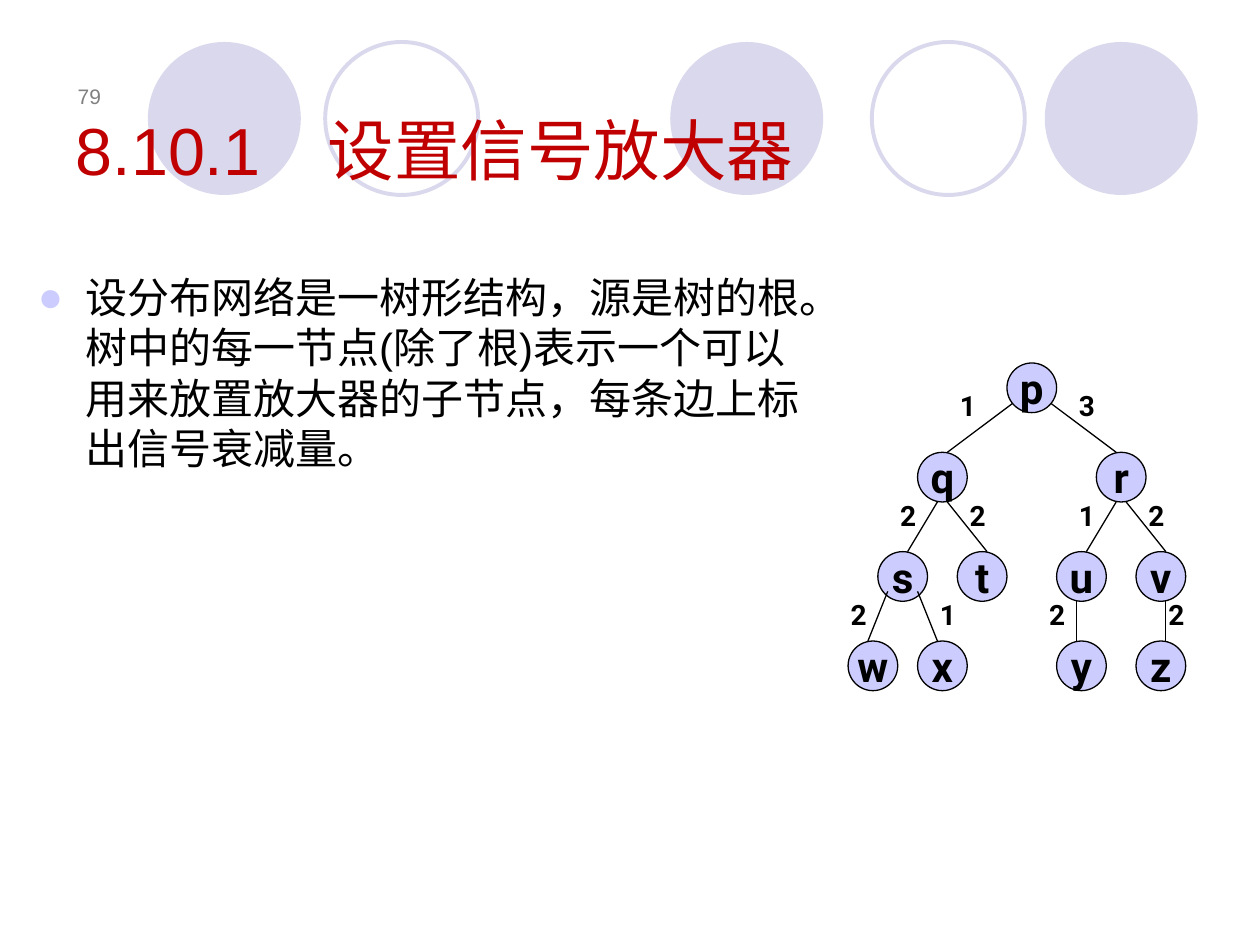
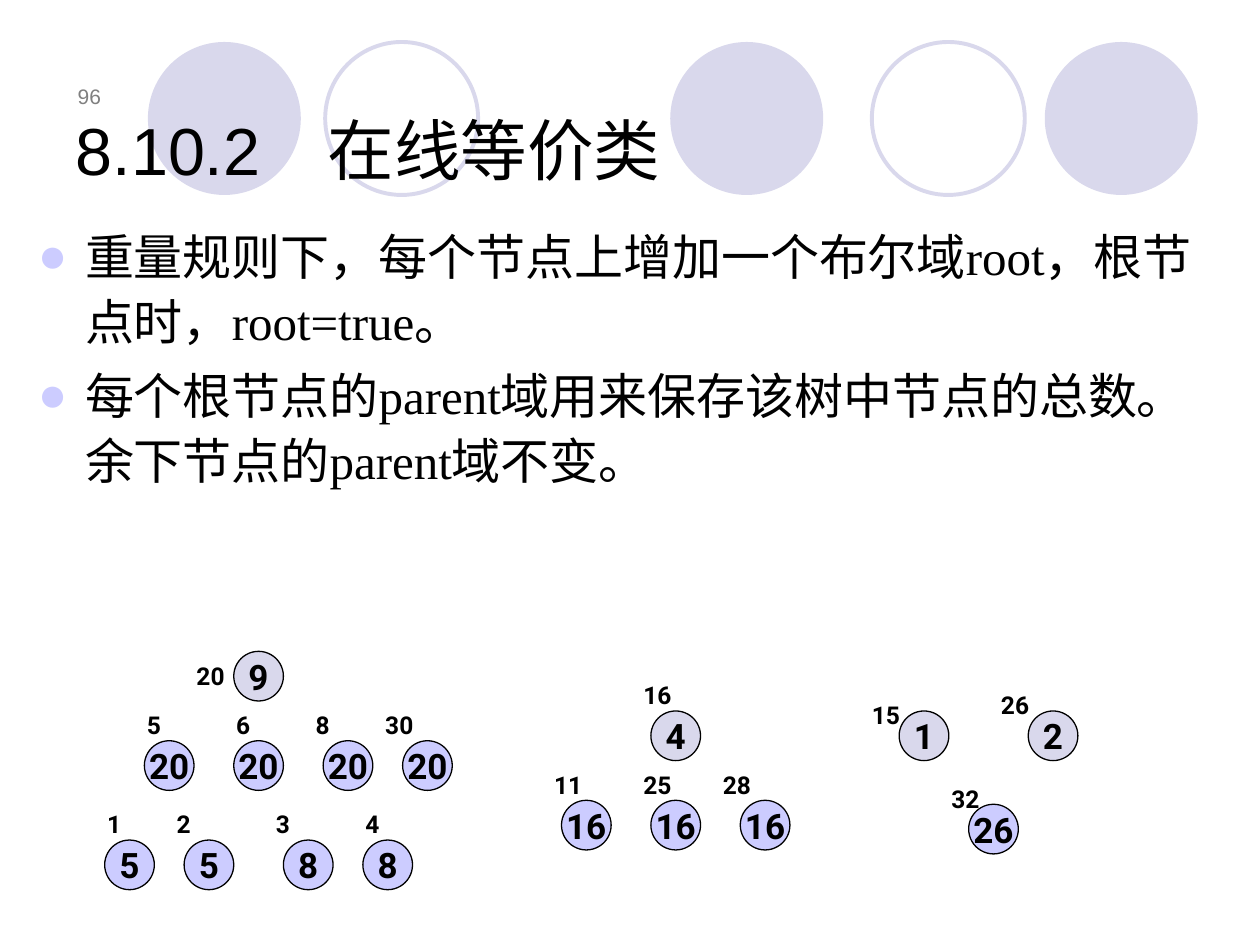
from lxml import etree
from pptx import Presentation
from pptx import util as u
from pptx.dml.color import RGBColor
from pptx.enum import shapes, text
from pptx.oxml.ns import qn

BLACK, RED, GREY = "000000", "C00000", "808080"
LILAC, PALE = "CCCCFF", "D9D8EC"
UNIT = 5.675
NODE = 5 * UNIT


def rgb(value):
    """Turn a hex string into a colour."""
    return RGBColor.from_string(value)


def style(target, formats):
    """Set every attribute named in a dict of format values."""
    for name, value in formats.items():
        setattr(target, name, value)


class Deck:
    """Hold the style and the current slide, and draw each kind of element."""

    frame = dict(word_wrap=True, auto_size=text.MSO_AUTO_SIZE.NONE,
                 vertical_anchor=text.MSO_ANCHOR.TOP)

    def __init__(self):
        """Start a 10 by 7.5 inch presentation."""
        self.prs = Presentation()
        style(self.prs, dict(slide_width=u.Pt(720), slide_height=u.Pt(540)))
        self.layout = self.prs.slide_layouts[1]
        self.s = None
        self.origin = (0, 0)

    def place(self, sp, left, top, width, height):
        """Move and size a shape."""
        style(sp, dict(left=u.Pt(left), top=u.Pt(top),
                       width=u.Pt(width), height=u.Pt(height)))

    def add_text(self, p, words, size, font="Arial", color=BLACK, bold=False,
                 align=text.PP_ALIGN.LEFT):
        """Put one formatted run in a paragraph."""
        p.alignment = align
        r = p.add_run()
        r.text = words
        style(r.font, dict(size=u.Pt(size), name=font, bold=bold))
        r.font.color.rgb = rgb(color)

    def grid(self, col, row):
        """Convert tree grid units to points."""
        return self.origin[0] + col * UNIT, self.origin[1] + row * UNIT

    def slide(self, number, title, color):
        """Add a slide with its title and number."""
        first = self.s is None
        self.s = self.prs.slides.add_slide(self.layout)
        if first:
            self.band()
        self.textbox(25.2, 31.7, 39.6, 33.8, number, 12, color=GREY,
                     align=text.PP_ALIGN.RIGHT, anchor=text.MSO_ANCHOR.BOTTOM)
        sp = self.s.shapes.title
        self.place(sp, 36, 21.6, 648, 90)
        style(sp.text_frame, self.frame | dict(vertical_anchor=text.MSO_ANCHOR.BOTTOM))
        p = sp.text_frame.paragraphs[0]
        tabs = etree.SubElement(p._p.get_or_add_pPr(), qn("a:tabLst"))
        etree.SubElement(tabs, qn("a:tab"), pos=str(u.Pt(144)), algn="l")
        self.add_text(p, title, 38, color=color)

    def band(self):
        """Put the row of circles on the shared layout."""
        for left, filled in ((383, True), (597, True), (84.5, True),
                             (498.2, False), (185.8, False)):
            sp = self.ellipse(left, 24, 87.4, PALE if filled else None,
                              None if filled else PALE, 2.25)
            self.layout.shapes._spTree.append(sp._element)

    def ellipse(self, left, top, size, fill, line, weight=0.75):
        """Draw a circle with an optional fill and outline."""
        sp = self.s.shapes.add_shape(shapes.MSO_SHAPE.OVAL, u.Pt(left), u.Pt(top),
                                     u.Pt(size), u.Pt(size))
        sp.shadow.inherit = False
        for part, color in ((sp.fill, fill), (sp.line.fill, line)):
            if color:
                part.solid()
                part.fore_color.rgb = rgb(color)
            else:
                part.background()
        if line:
            sp.line.width = u.Pt(weight)
        return sp

    def textbox(self, left, top, width, height, words, size,
                anchor=text.MSO_ANCHOR.TOP, **formats):
        """Add a text box with one paragraph."""
        sp = self.s.shapes.add_textbox(u.Pt(left), u.Pt(top), u.Pt(width), u.Pt(height))
        style(sp.text_frame, self.frame | dict(vertical_anchor=anchor))
        self.add_text(sp.text_frame.paragraphs[0], words, size, **formats)

    def body(self, left, top, width, height, items, size, font, spacing):
        """Fill the body placeholder with a bulleted list."""
        sp = self.s.placeholders[1]
        self.place(sp, left, top, width, height)
        tf = sp.text_frame
        style(tf, self.frame)
        for i, item in enumerate(items):
            p = tf.add_paragraph() if i else tf.paragraphs[0]
            style(p, dict(line_spacing=spacing, space_before=u.Pt(0.2 * size if i else 0)))
            pPr = p._p.get_or_add_pPr()
            for name, value in dict(marL=27, indent=-27).items():
                pPr.set(name, str(u.Pt(value)))
            color = etree.SubElement(pPr, qn("a:buClr"))
            etree.SubElement(color, qn("a:srgbClr"), val=LILAC)
            etree.SubElement(pPr, qn("a:buFont"), typeface="Arial")
            etree.SubElement(pPr, qn("a:buChar"), char="●")
            self.add_text(p, item, size, font)

    def node(self, name, col, row, size, fill=LILAC):
        """Draw a tree node on the grid."""
        tf = self.ellipse(*self.grid(col, row), NODE, fill, BLACK).text_frame
        style(tf, dict(word_wrap=False, vertical_anchor=text.MSO_ANCHOR.MIDDLE,
                       margin_left=0, margin_right=0, margin_top=0, margin_bottom=0))
        self.add_text(tf.paragraphs[0], name, size, "Roboto", bold=True,
                      align=text.PP_ALIGN.CENTER)

    def edge(self, start, end):
        """Draw a tree edge between two grid points."""
        ends = [u.Pt(v) for v in (*self.grid(*start), *self.grid(*end))]
        sp = self.s.shapes.add_connector(shapes.MSO_CONNECTOR.STRAIGHT, *ends)
        sp.line.color.rgb = rgb(BLACK)
        sp.line.width = u.Pt(0.75)
        etree.SubElement(sp._element.spPr, qn("a:effectLst"))

    def label(self, words, col, row, width, height, size):
        """Add a small bold label on the grid."""
        self.textbox(*self.grid(col, row), width, height, words, size,
                     font="Roboto", bold=True)


def amplifier_slide(deck):
    """Build the slide on placing signal boosters."""
    deck.slide("79", "8.10.1\t设置信号放大器", RED)
    deck.body(14.4, 151.5, 459.4, 361.5, [
        "设分布网络是一树形结构，源是树的根。树中的每一节点(除了根)表示一个可以用来放置放大器的子节点，每条边上标出信号衰减量。",
    ], 24, "Arial", 1.0)
    deck.origin = (484.6, 207.4)
    for row, names in ((9, {"q": 7, "r": 25}),
                       (19, {"s": 3, "t": 11, "u": 21, "v": 29}),
                       (28, {"w": 0, "x": 7, "y": 21, "z": 29})):
        for name, col in names.items():
            deck.node(name, col, row, 24)
    for start, end, loss, spot in (
            ((10, 9), (18, 3), "1", (10, 2)), ((27, 9), (19, 3), "3", (22, 2)),
            ((6, 19), (9, 14), "2", (4, 13)), ((14, 19), (10, 14), "2", (11, 13)),
            ((24, 19), (27, 14), "1", (22, 13)), ((32, 19), (28, 14), "2", (29, 13)),
            ((2, 28), (4, 23), "2", (-1, 23)), ((9, 28), (7, 23), "1", (8, 23)),
            ((23, 28), (23, 24), "2", (19, 23)), ((32, 28), (32, 24), "2", (31, 23))):
        deck.edge(start, end)
        deck.label(loss, *spot, 23, 26.6, 16)
    deck.node("p", 16, 0, 24)


def equivalence_slide(deck):
    """Build the slide on online equivalence classes."""
    deck.slide("96", "8.10.2\t在线等价类", BLACK)
    deck.body(14.4, 122.4, 686.2, 215.3, [
        "重量规则下，每个节点上增加一个布尔域root，根节点时，root=true。",
        "每个根节点的parent域用来保存该树中节点的总数。余下节点的parent域不变。",
    ], 28, "Times New Roman", 1.1)
    deck.origin = (59.8, 372.2)
    roots = (("9", 13, 0, "20", 8, 0.4), ("4", 55, 6, "16", 53, 2.3),
             ("1", 80, 6, "15", 76, 4.3), ("2", 93, 6, "26", 89, 3.3))
    children = (("20", 4, 9, "5", 3, 5.3), ("20", 13, 9, "6", 12, 5.3),
                ("20", 22, 9, "8", 20, 5.3), ("20", 30, 9, "30", 27, 5.3),
                ("5", 0, 19, "1", -1, 15.3), ("5", 8, 19, "2", 6, 15.3),
                ("8", 18, 19, "3", 16, 15.3), ("8", 26, 19, "4", 25, 15.3),
                ("16", 46, 15, "11", 44, 11.3), ("16", 55, 15, "25", 53, 11.3),
                ("16", 64, 15, "28", 61, 11.3), ("26", 87, 15.4, "32", 84, 12.7))
    for fill, nodes in ((PALE, roots), (LILAC, children)):
        for parent, col, row, index, label_col, label_row in nodes:
            deck.node(parent, col, row, 20, fill)
            deck.label(index, label_col, label_row, 34, 23.8, 14)


def main():
    """Build and save both slides."""
    deck = Deck()
    amplifier_slide(deck)
    equivalence_slide(deck)
    deck.prs.save("out.pptx")


if __name__ == "__main__":
    main()
